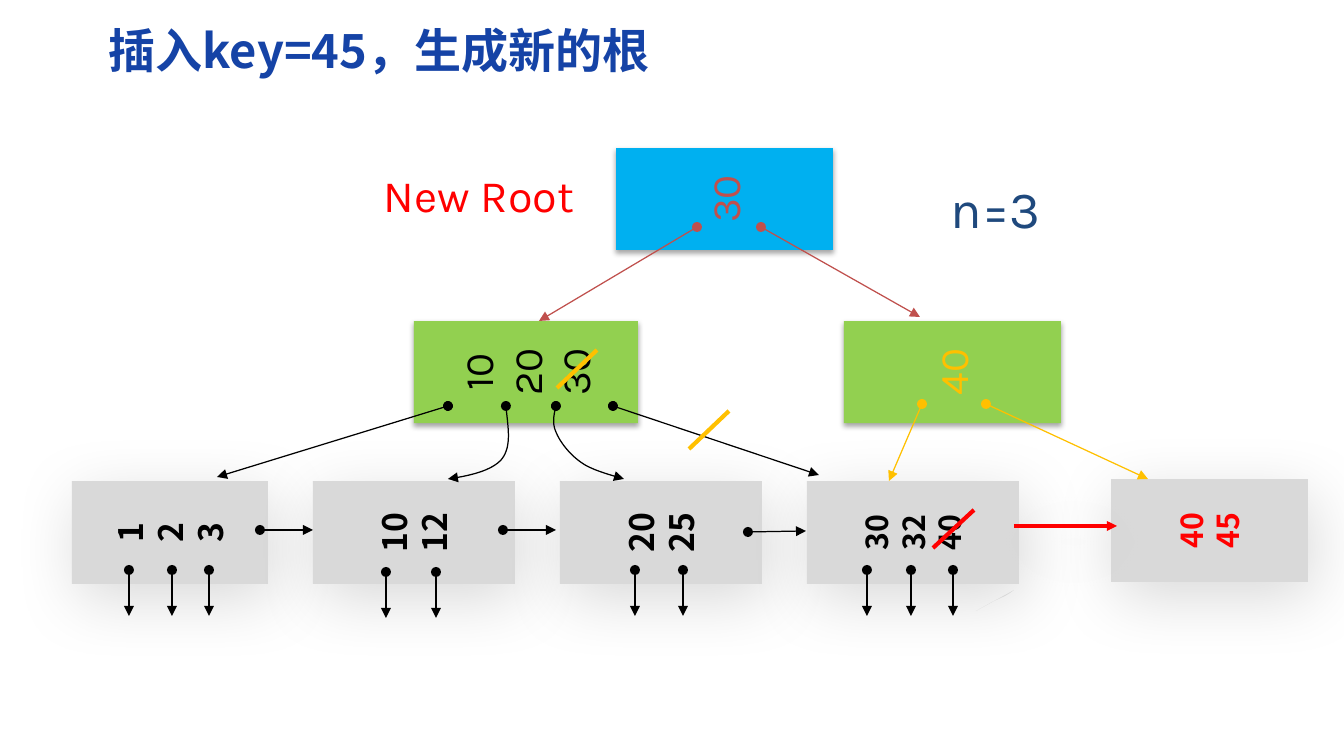
from lxml import etree
from pptx import Presentation
from pptx.dml.color import RGBColor
from pptx.enum.shapes import MSO_CONNECTOR, MSO_SHAPE
from pptx.enum.text import MSO_ANCHOR, PP_ALIGN
from pptx.oxml.ns import qn
from pptx.util import Pt

PX = 914400 / 121
STRAIGHT = MSO_CONNECTOR.STRAIGHT
RECT = MSO_SHAPE.RECTANGLE
MIDDLE = MSO_ANCHOR.MIDDLE
CENTER, LEFT = PP_ALIGN.CENTER, PP_ALIGN.LEFT
SANS, CJK = "Karla", "Noto Sans CJK SC"

BLACK = RGBColor(0x00, 0x00, 0x00)
RED = RGBColor(0xFF, 0x00, 0x00)
BRICK = RGBColor(0xC0, 0x50, 0x4D)
AMBER = RGBColor(0xFF, 0xC0, 0x00)
SKY = RGBColor(0x00, 0xB0, 0xF0)
GREEN = RGBColor(0x92, 0xD0, 0x50)
GRAY = RGBColor(0xD9, 0xD9, 0xD9)
NAVY = RGBColor(0x1F, 0x49, 0x7D)
BLUE = RGBColor(0x15, 0x43, 0xA6)

# opacity %, blur pt, distance pt, direction degrees
TIGHT_SHADOW = (35, 3.1, 1.8, 90)
SOFT_SHADOW = (15, 40, 10, 70)


def px(n):
    return round(n * PX)


def set_shadow(sp, shadow=None):
    effects = etree.SubElement(sp._element.spPr, qn("a:effectLst"))
    if shadow:
        alpha, blur, dist, angle = shadow
        outer = etree.SubElement(
            effects, qn("a:outerShdw"), blurRad=str(Pt(blur)), dist=str(Pt(dist)),
            dir=str(angle * 60000), algn="ctr", rotWithShape="0")
        color = etree.SubElement(outer, qn("a:srgbClr"), val="000000")
        etree.SubElement(color, qn("a:alpha"), val=str(alpha * 1000))


def style_line(sp, color, width, head=None, tail=None):
    sp.line.color.rgb = color
    sp.line.width = Pt(width)
    for tag, kind in (("a:headEnd", head), ("a:tailEnd", tail)):
        if kind:
            etree.SubElement(sp.line._get_or_add_ln(), qn(tag), type=kind)


def draw_line(s, start, end, color, width, head=None, tail=None, shadow=None):
    sp = s.shapes.add_connector(STRAIGHT, *map(px, start + end))
    style_line(sp, color, width, head, tail)
    set_shadow(sp, shadow)


def draw_pointer(s, start, end, color=BLACK):
    draw_line(s, start, end, color, 0.75, "oval", "triangle")


def bezier(a, b, c, d, steps=16):
    for i in range(1, steps + 1):
        t = i / steps
        u = 1 - t
        yield tuple(u**3 * p + 3 * u * u * t * q + 3 * u * t * t * v + t**3 * w
                    for p, q, v, w in zip(a, b, c, d))


def draw_path(s, points, close=False):
    start, *rest = [(px(x), px(y)) for x, y in points]
    builder = s.shapes.build_freeform(*start)
    builder.add_line_segments(rest, close=close)
    return builder.convert_to_shape()


def draw_curved_pointer(s, points):
    """Points are a start followed by three points per Bezier segment."""
    track = [points[0]]
    for i in range(0, len(points) - 1, 3):
        track.extend(bezier(*points[i:i + 4]))
    sp = draw_path(s, track)
    sp.fill.background()
    style_line(sp, BLACK, 0.75, "oval", "triangle")
    set_shadow(sp)


def write(sp, lines, size, font, color, bold=False, align=CENTER):
    tf = sp.text_frame
    tf.vertical_anchor = MIDDLE
    tf.text = "\n".join(lines)
    for p in tf.paragraphs:
        p.alignment = align
        for r in p.runs:
            r.font.size, r.font.name, r.font.bold = Pt(size), font, bold
            r.font.color.rgb = color
            etree.SubElement(r._r.get_or_add_rPr(), qn("a:ea"), typeface=font)
    return tf


def draw_node(s, box, keys, fill, color, size, font=SANS, bold=False,
              shadow=TIGHT_SHADOW):
    """A node turned a quarter, so that its keys read upwards."""
    x, y, w, h = box
    sp = s.shapes.add_shape(RECT, px(x + (w - h) / 2), px(y + (h - w) / 2), px(h), px(w))
    sp.rotation = 270
    sp.fill.solid()
    sp.fill.fore_color.rgb = fill
    sp.line.fill.background()
    set_shadow(sp, shadow)
    tf = write(sp, keys, size, font, color, bold)
    tf.word_wrap = True
    for p in tf.paragraphs:
        p.line_spacing = Pt(size * 1.2)


def draw_label(s, box, text, size, color):
    sp = s.shapes.add_textbox(*map(px, box))
    write(sp, [text], size, SANS, color).word_wrap = False


def draw_title(s, box):
    sp = s.shapes.title
    sp.left, sp.top, sp.width, sp.height = map(px, box)
    tf = write(sp, ["插入key=45，生成新的根"], 28, CJK, BLUE, True, LEFT)
    tf.margin_left = tf.margin_right = px(13)
    tf.margin_top = tf.margin_bottom = px(7)


def draw_root(s, box):
    x, y, w, h = box
    draw_node(s, box, ["30"], SKY, BRICK, 24)
    draw_pointer(s, (x + 81, y + 79), (x - 77, y + 173), BRICK)
    draw_pointer(s, (x + 145, y + 79), (x + 304, y + 169), BRICK)
    draw_label(s, (x - 246, y + 13, 218, 67), "New Root", 26.7, RED)
    draw_label(s, (x + 319, y + 22, 121, 75), "n=3", 31.1, NAVY)


def draw_left_inner(s, box):
    x, y, w, h = box
    draw_node(s, box, ["10", "20", "30"], GREEN, BLACK, 24)
    draw_pointer(s, (x + 34, y + 85), (x - 197, y + 156))
    draw_pointer(s, (x + 199, y + 85), (x + 405, y + 154))
    bends = [
        [(92, 85), (94, 106), (98, 125), (88, 138), (78, 150), (55, 155), (34, 158)],
        [(142, 85), (140, 94), (138, 102), (142, 111), (146, 121), (156, 134),
         (168, 142), (179, 150), (204, 156), (210, 158)],
    ]
    for bend in bends:
        draw_curved_pointer(s, [(x + dx, y + dy) for dx, dy in bend])
    # Strike out the moved key and its pointer
    for dx, dy in ((143, 67), (275, 128)):
        draw_line(s, (x + dx, y + dy), (x + dx + 40, y + dy - 38), AMBER, 2.5)


def draw_right_inner(s, box):
    x, y, w, h = box
    draw_node(s, box, ["40"], GREEN, AMBER, 24)
    draw_pointer(s, (x + 78, y + 83), (x + 45, y + 160), AMBER)
    draw_pointer(s, (x + 142, y + 83), (x + 304, y + 158), AMBER)


def draw_leaf(s, box, keys, size, records=(), record_top=89, link=None, color=BLACK):
    x, y, w, h = box
    draw_node(s, box, keys, GRAY, color, size, CJK, True, SOFT_SHADOW)
    for dx in records:
        draw_pointer(s, (x + dx, y + record_top), (x + dx, y + record_top + 46))
    if link:
        x1, y1, x2, y2 = link
        draw_pointer(s, (x + x1, y + y1), (x + x2, y + y2))


def draw_split(s, box):
    """The full leaf gives its last key to the new leaf on its right."""
    x, y, w, h = box
    draw_leaf(s, (x + 304, y - 2, 197, h), ["40", "45"], 18, color=RED)
    draw_line(s, (x + 207, y + 45), (x + 310, y + 45), RED, 2,
              tail="triangle", shadow=SOFT_SHADOW)
    sliver = [(169, 130), (185, 121), (198, 115), (203, 112), (207, 109)]
    sp = draw_path(s, [(x + dx, y + dy) for dx, dy in sliver], close=True)
    sp.fill.solid()
    sp.fill.fore_color.rgb = GRAY
    sp.line.fill.background()
    set_shadow(sp, SOFT_SHADOW)
    draw_line(s, (x + 126, y + 67), (x + 167, y + 29), RED, 2.5)


def main():
    prs = Presentation()
    prs.slide_width, prs.slide_height = px(1344), px(756)
    s = prs.slides.add_slide(prs.slide_layouts[5])
    draw_title(s, (96, 15, 1187, 69))

    # Leaf level
    full_leaf = (807, 481, 212, 103)
    draw_leaf(s, (72, 481, 196, 103), ["1", "2", "3"], 20, (57, 100, 137),
              link=(188, 49, 241, 49))
    draw_leaf(s, (313, 481, 202, 103), ["10", "12"], 20, (73, 123), 91,
              link=(190, 49, 243, 49))
    draw_leaf(s, (560, 481, 202, 103), ["20", "25"], 20, (75, 123),
              link=(188, 51, 246, 50))
    draw_leaf(s, full_leaf, ["30", "32", "40"], 18, (60, 104, 146))
    draw_split(s, full_leaf)

    # Index levels
    draw_left_inner(s, (414, 321, 224, 102))
    draw_right_inner(s, (844, 321, 217, 102))
    draw_root(s, (616, 148, 217, 102))
    prs.save("out.pptx")


if __name__ == "__main__":
    main()
